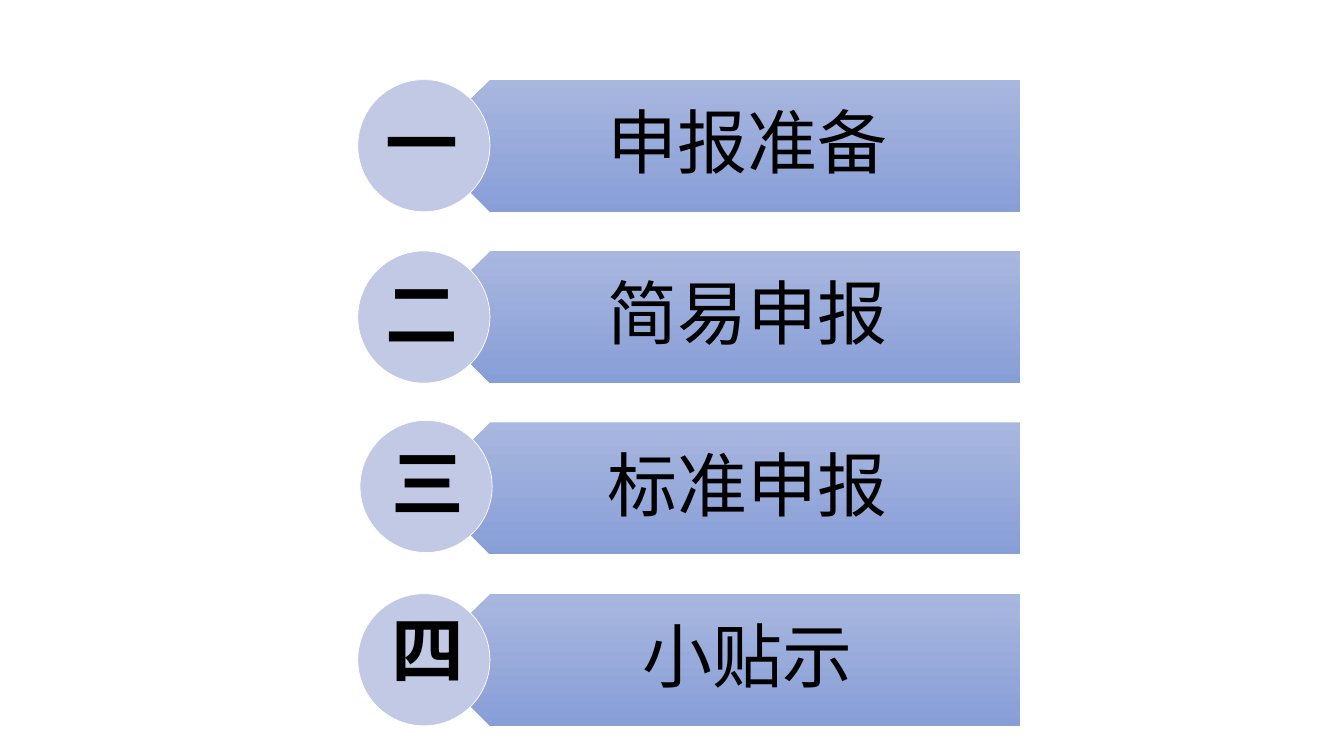
from dataclasses import dataclass

from lxml import etree
from pptx import Presentation
from pptx.dml.color import RGBColor
from pptx.enum import shapes, text
from pptx.util import Pt


@dataclass(frozen=True)
class Theme:
    font: str = "Calibri"
    ink: str = "000000"
    bar_top: str = "A8B7DF"
    bar_bottom: str = "889ED7"
    disc: str = "C1C9E4"
    disc_line: str = "FFFFFF"
    label_size: float = 50
    numeral_size: float = 52


@dataclass(frozen=True)
class Box:
    left: float
    top: float
    width: float
    height: float

    def points(self) -> tuple:
        return Pt(self.left), Pt(self.top), Pt(self.width), Pt(self.height)


@dataclass(frozen=True)
class Section:
    numeral: str
    label: str
    numeral_left: float
    numeral_top: float
    disc_left: float = 255.6
    disc_rise: float = 0


THEME = Theme()
FIRST_TOP, PITCH, HEIGHT = 56.9, 122.4, 94.4
SECTIONS = [
    Section("一", "申报准备", 248.4, 77),
    Section("二", "简易申报", 248.4, 199.4),
    Section("三", "标准申报", 252.7, 320.4, 257.2, 1.4),
    Section("四", "小贴示", 252.7, 439.2),
]


def add_bar(page, box: Box):
    """Draw a gradient pentagon that points left."""
    bar = page.shapes.add_shape(shapes.MSO_SHAPE.PENTAGON, *box.points())
    bar.shadow.inherit = False
    bar.line.fill.background()
    bar.fill.gradient()
    bar.fill.gradient_angle = 270
    for stop, color in zip(bar.fill.gradient_stops, (THEME.bar_top, THEME.bar_bottom)):
        stop.color.rgb = RGBColor.from_string(color)
    # Clear the tints that the default stops carry
    for tint in bar.element.spPr.xpath(".//a:gs/a:srgbClr/*"):
        tint.getparent().remove(tint)
    bar.element.spPr.xfrm.set("flipH", "1")
    return bar


def add_disc(page, box: Box):
    disc = page.shapes.add_shape(shapes.MSO_SHAPE.OVAL, *box.points())
    disc.shadow.inherit = False
    disc.fill.solid()
    disc.fill.fore_color.rgb = RGBColor.from_string(THEME.disc)
    disc.line.color.rgb = RGBColor.from_string(THEME.disc_line)
    disc.line.width = Pt(0.5)
    return disc


def add_text(page, box: Box, words: str, size: float, bold: bool = False):
    """Add one centred line and return its text frame."""
    frame = page.shapes.add_textbox(*box.points()).text_frame
    frame.word_wrap = True
    frame.vertical_anchor = text.MSO_ANCHOR.MIDDLE
    frame.text = words
    para = frame.paragraphs[0]
    para.alignment = text.PP_ALIGN.CENTER
    font = para.runs[0].font
    font.name, font.size, font.bold = THEME.font, Pt(size), bold
    font.color.rgb = RGBColor.from_string(THEME.ink)
    return frame


def add_section(page, section: Section, top: float) -> None:
    add_bar(page, Box(303.1, top, 425.5, HEIGHT))

    # Bar label
    label = add_text(page, Box(326.2, top, 401.8, HEIGHT), section.label, THEME.label_size)
    label.margin_left, label.margin_right = Pt(41.8), Pt(28.1)
    label.margin_top = label.margin_bottom = Pt(15.1)
    label.paragraphs[0].line_spacing = 0.9
    label.paragraphs[0].space_after = Pt(17.5)

    # Numbered disc
    add_disc(page, Box(section.disc_left, top - section.disc_rise, HEIGHT, HEIGHT))
    numeral_box = Box(section.numeral_left, section.numeral_top, 105.8, 47.5)
    add_text(page, numeral_box, section.numeral, THEME.numeral_size, bold=True)


def main() -> None:
    deck = Presentation()
    deck.slide_width, deck.slide_height = Pt(960), Pt(540)
    page = deck.slides.add_slide(deck.slide_layouts[6])
    for row, section in enumerate(SECTIONS):
        add_section(page, section, FIRST_TOP + row * PITCH)
    deck.save("out.pptx")


if __name__ == "__main__":
    main()
